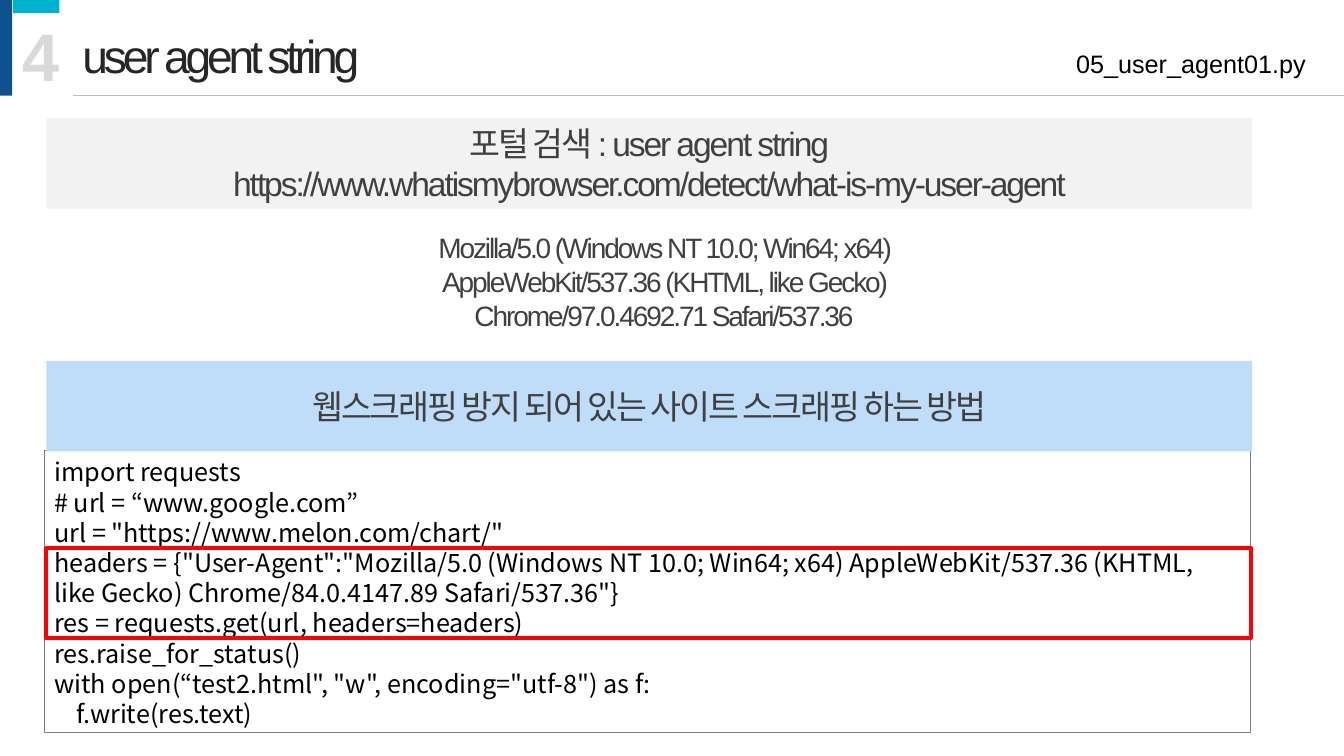
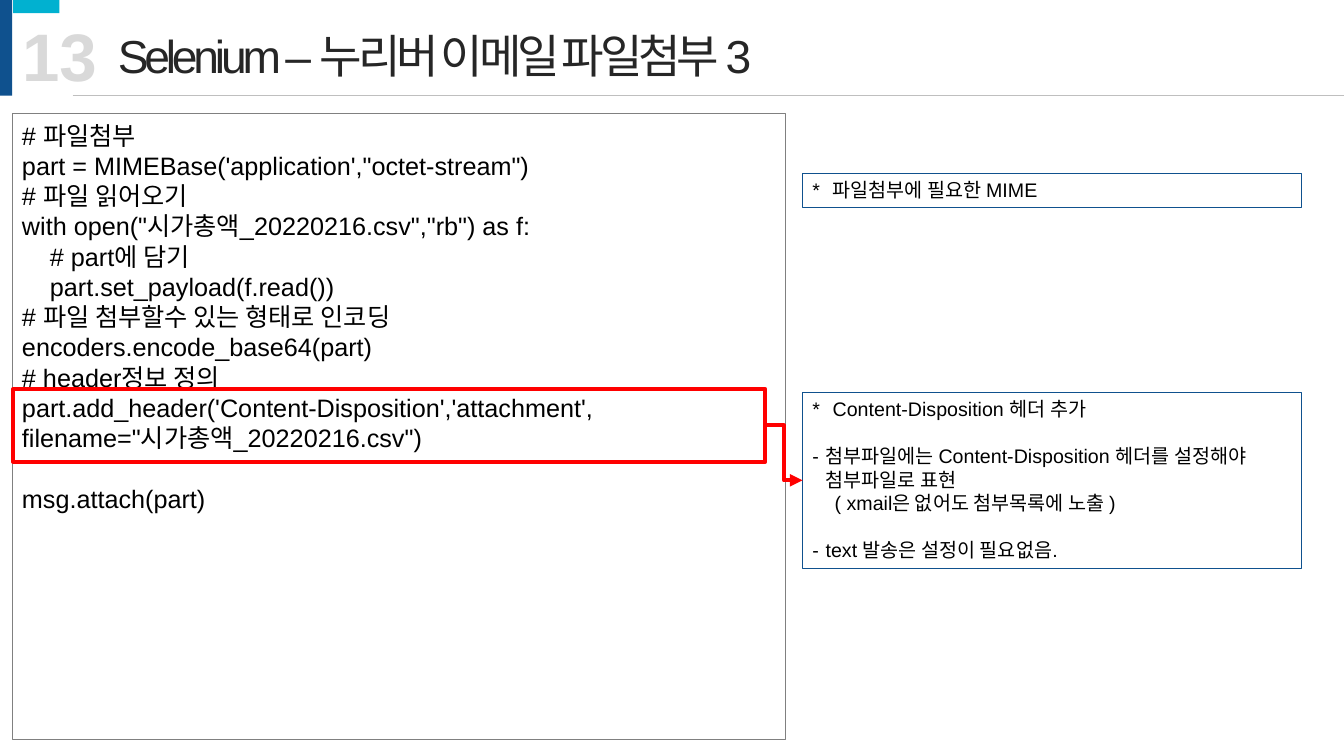
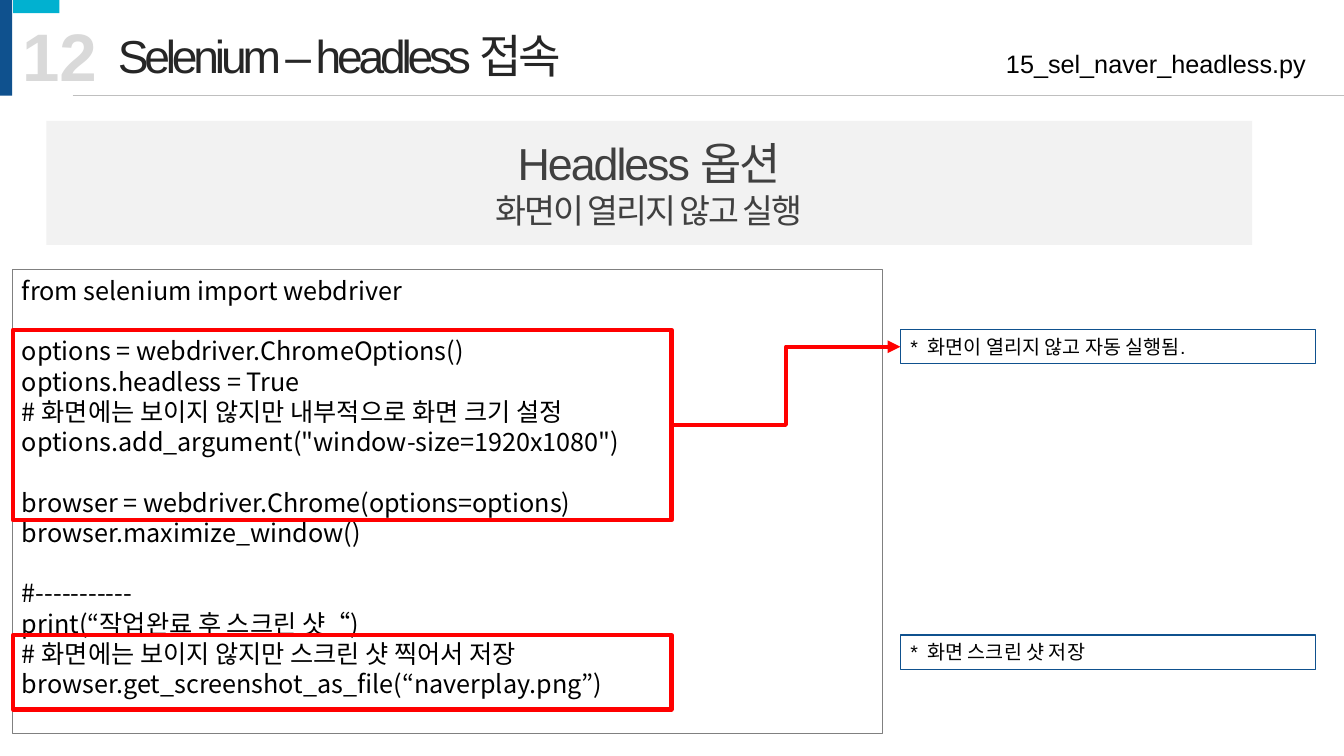
from dataclasses import dataclass

from lxml.etree import SubElement
from pptx import Presentation
from pptx.dml.color import RGBColor
from pptx.enum.shapes import MSO_CONNECTOR, MSO_SHAPE
from pptx.enum.text import MSO_ANCHOR, PP_ALIGN
from pptx.oxml.ns import qn
from pptx.util import Inches, Pt


@dataclass(frozen=True)
class Theme:
    # Fonts
    latin: str = "Arial"
    hangul: str = "Noto Sans CJK KR"
    # Colours
    navy: str = "0F518E"
    cyan: str = "01B1D0"
    sky: str = "BFDDF8"
    pale: str = "F2F2F2"
    rule: str = "BFBFBF"
    edge: str = "808080"
    mark: str = "FF0000"
    number: str = "D9D9D9"
    title: str = "262626"
    soft: str = "404040"
    ink: str = "000000"
    # Type sizes and line pitch
    huge: int = 48
    head: int = 33
    large: int = 32
    lead: int = 24
    quote: int = 20
    code: int = 18
    note: int = 14
    pitch: float = 1.2


@dataclass(frozen=True)
class Line:
    """One paragraph; gap is counted in lines, left and hang in inches."""
    text: str
    size: int = 0
    gap: int = 0
    left: float = 0
    hang: float = 0


class Deck:
    def __init__(self, theme):
        self.theme = theme
        self.file = Presentation()
        self.file.slide_width = Inches(13.33)
        self.file.slide_height = Inches(7.5)
        self.slide = None

    # Basic parts
    def rect(self, box, fill=None, line=None, width=0.75):
        shape = self.slide.shapes.add_shape(
            MSO_SHAPE.RECTANGLE, *[Inches(v) for v in box])
        shape.shadow.inherit = False
        if fill:
            shape.fill.solid()
            shape.fill.fore_color.rgb = RGBColor.from_string(fill)
        else:
            shape.fill.background()
        if line:
            shape.line.color.rgb = RGBColor.from_string(line)
            shape.line.width = Pt(width)
        else:
            shape.line.fill.background()
        return shape

    def wire(self, kind, ends, color, width):
        wire = self.slide.shapes.add_connector(kind, *[Inches(v) for v in ends])
        wire.line.color.rgb = RGBColor.from_string(color)
        wire.line.width = Pt(width)
        SubElement(wire.element.spPr, qn("a:effectLst"))
        return wire

    def put(self, shape, lines, size, color=None, font=None, bold=False,
            align=PP_ALIGN.LEFT, anchor=MSO_ANCHOR.TOP, track=0, wrap=True):
        frame = shape.text_frame
        frame.word_wrap = wrap
        frame.vertical_anchor = anchor
        for i, line in enumerate(lines):
            if isinstance(line, str):
                line = Line(line)
            para = frame.paragraphs[0] if i == 0 else frame.add_paragraph()
            points = line.size or size
            pitch = points * self.theme.pitch
            para.alignment = align
            para.line_spacing = Pt(pitch)
            if line.gap:
                para.space_before = Pt(pitch * line.gap)
            if line.left or line.hang:
                props = para._p.get_or_add_pPr()
                props.set("marL", str(Inches(line.left + line.hang)))
                props.set("indent", str(-Inches(line.hang)))
            run = para.add_run()
            run.text = line.text
            run.font.size = Pt(points)
            run.font.bold = bold
            run.font.name = font or self.theme.latin
            run.font.color.rgb = RGBColor.from_string(color or self.theme.ink)
            props = run._r.get_or_add_rPr()
            SubElement(props, qn("a:ea")).set("typeface", self.theme.hangul)
            if track:
                props.set("spc", str(int(track * 100)))

    def text(self, box, lines, size, **style):
        shape = self.slide.shapes.add_textbox(*[Inches(v) for v in box])
        self.put(shape, lines, size, **style)

    # Slide frame: bars, rule, number, title and file name
    def page(self, number, title, source=None):
        t = self.theme
        self.slide = self.file.slides.add_slide(self.file.slide_layouts[6])
        self.rect((0, 0, 0.12, 0.95), fill=t.navy)
        self.rect((0.13, 0, 0.46, 0.13), fill=t.cyan)
        self.wire(MSO_CONNECTOR.STRAIGHT, (0.72, 0.95, 13.33, 0.95), t.rule, 0.5)
        left = 0.72 if number < 10 else 1.07
        self.text((left, 0.22, 9.96 - left, 0.67), [title], t.head,
                  color=t.title, track=-3)
        self.text((0.12, 0.09, left - 0.12, 0.91), [str(number)], t.huge,
                  color=t.number, bold=True, wrap=False)
        if source:
            self.text((8.93, 0.43, 4.12, 0.4), [source], t.code,
                      align=PP_ALIGN.RIGHT)

    # Content parts
    def band(self, top, height, lines, fill):
        shape = self.rect((0.46, top, 11.96, height), fill=fill)
        self.put(shape, lines, self.theme.lead, color=self.theme.soft,
                 align=PP_ALIGN.CENTER, anchor=MSO_ANCHOR.MIDDLE, track=-1.5)

    def code(self, box, lines, font=None):
        shape = self.rect(box, line=self.theme.edge)
        shape.text_frame.margin_top = Inches(0.06)
        self.put(shape, lines, self.theme.code, font=font)

    def note(self, box, lines):
        shape = self.rect(box, line=self.theme.navy)
        self.put(shape, lines, self.theme.note)
        return shape

    def mark(self, box):
        return self.rect(box, line=self.theme.mark, width=3)

    def link(self, start, end):
        wire = self.wire(MSO_CONNECTOR.ELBOW, (0, 0, 1, 1), self.theme.mark, 3)
        wire.begin_connect(start, 3)
        wire.end_connect(end, 1)
        line = wire.element.spPr.find(qn("a:ln"))
        SubElement(line, qn("a:tailEnd")).set("type", "triangle")


def agent(deck):
    t = deck.theme
    deck.page(4, "user agent string", "05_user_agent01.py")
    deck.band(1.17, 0.9, [
        "포털 검색 : user agent string",
        "https://www.whatismybrowser.com/detect/what-is-my-user-agent",
    ], t.pale)
    deck.text((3.2, 2.24, 6.77, 1.11), [
        "Mozilla/5.0 (Windows NT 10.0; Win64; x64) AppleWebKit/537.36 "
        "(KHTML, like Gecko) Chrome/97.0.4692.71 Safari/537.36",
    ], t.quote, color=t.soft, align=PP_ALIGN.CENTER, track=-1.5)
    deck.code((0.44, 4.47, 11.96, 2.8), [
        "import requests",
        "# url = “www.google.com”",
        'url = "https://www.melon.com/chart/"',
        'headers = {"User-Agent":"Mozilla/5.0 (Windows NT 10.0; Win64; x64) '
        'AppleWebKit/537.36 (KHTML, like Gecko) Chrome/84.0.4147.89 Safari/537.36"}',
        "res = requests.get(url, headers=headers)",
        "res.raise_for_status()",
        'with open(“test2.html", "w", encoding="utf-8") as f:',
        "    f.write(res.text)",
    ], font=t.hangul)
    deck.band(3.58, 0.9, ["웹스크래핑 방지 되어 있는 사이트 스크래핑 하는 방법"], t.sky)
    deck.mark((0.46, 5.44, 11.95, 0.89))


def attach(deck):
    deck.page(13, "Selenium – 누리버 이메일 파일첨부 3")
    deck.code((0.12, 1.13, 7.67, 6.21), [
        "# 파일첨부",
        "part = MIMEBase('application',\"octet-stream\")",
        "# 파일 읽어오기",
        'with open("시가총액_20220216.csv","rb") as f:',
        "    # part에 담기",
        "    part.set_payload(f.read())",
        "# 파일 첨부할수 있는 형태로 인코딩",
        "encoders.encode_base64(part)",
        "# header정보 정의",
        "part.add_header('Content-Disposition','attachment',"
        'filename="시가총액_20220216.csv")',
        Line("msg.attach(part)", gap=1),
    ])
    deck.note((7.96, 1.72, 4.95, 0.34), [Line("*\t파일첨부에 필요한 MIME", hang=0.2)])
    header = deck.note((7.96, 3.89, 4.95, 1.75), [
        Line("*\tContent-Disposition 헤더 추가", hang=0.2),
        Line("-\t첨부파일에는 Content-Disposition 헤더를 설정해야", gap=1, hang=0.13),
        Line("첨부파일로 표현", left=0.13),
        Line("( xmail은 없어도 첨부목록에 노출 )", left=0.22),
        Line("-\ttext 발송은 설정이 필요없음.", gap=1, hang=0.13),
    ])
    deck.link(deck.mark((0.13, 3.86, 7.46, 0.72)), header)


def headless(deck):
    t = deck.theme
    deck.page(12, "Selenium – headless 접속", "15_sel_naver_headless.py")
    deck.band(1.2, 1.23, [Line("Headless 옵션", size=t.large),
                          "화면이 열리지 않고 실행"], t.pale)
    deck.code((0.12, 2.67, 8.63, 4.61), [
        "from selenium import webdriver",
        Line("options = webdriver.ChromeOptions()", gap=1),
        "options.headless = True",
        "# 화면에는 보이지 않지만 내부적으로 화면 크기 설정",
        'options.add_argument("window-size=1920x1080")',
        Line("browser = webdriver.Chrome(options=options)", gap=1),
        "browser.maximize_window()",
        Line("#-----------", gap=1),
        "print(“작업완료 후 스크린 샷“)",
        "# 화면에는 보이지 않지만 스크린 샷 찍어서 저장",
        "browser.get_screenshot_as_file(“naverplay.png”)",
    ], font=t.hangul)
    # Each marked step has a note level with its top
    steps = [(3.27, 1.89, "화면이 열리지 않고 자동 실행됨."),
             (6.3, 0.74, "화면 스크린 샷 저장")]
    pairs = []
    for top, height, text in steps:
        mark = deck.mark((0.13, top, 6.53, height))
        note = deck.note((8.93, top, 4.12, 0.34), [Line("*\t" + text, hang=0.17)])
        pairs.append((mark, note))
    deck.link(*pairs[0])


def main():
    deck = Deck(Theme())
    for build in (agent, attach, headless):
        build(deck)
    deck.file.save("out.pptx")


if __name__ == "__main__":
    main()
